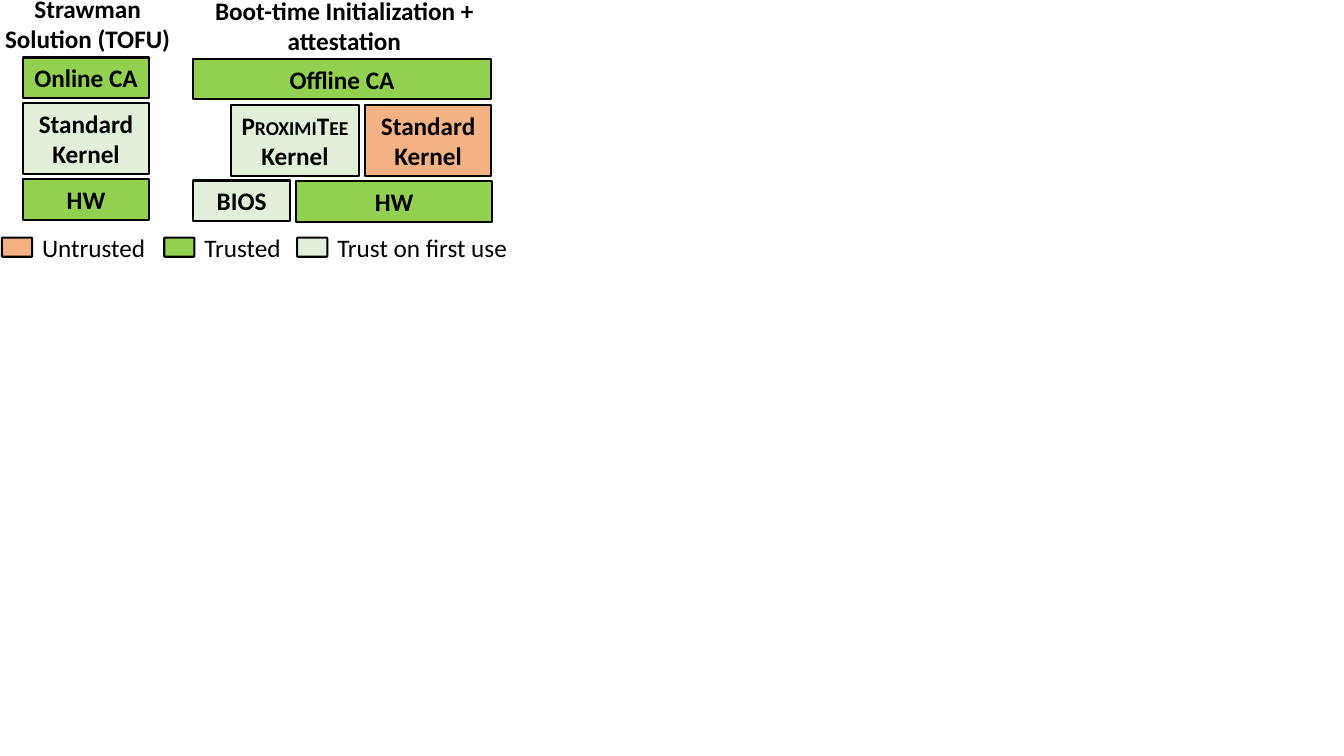
from pptx import Presentation
from pptx.dml.color import RGBColor
from pptx.enum import shapes, text
from pptx.util import Cm, Pt

TRUSTED, FIRST_USE, UNTRUSTED, BLACK = "92D050", "E2F0D9", "F4B183", "000000"
ROW, KERNEL_ROW = 1.02, 1.8


def color(value):
    return RGBColor.from_string(value)


class Diagram:
    """Draws trust-coloured blocks and labels on one slide."""
    font, size, small_size, line = "Calibri", 18, 14, 1.5

    def __init__(self, slide):
        self.slide = slide
        self.shapes = slide.shapes

    def start_group(self):
        """Collect the elements that follow in a new group."""
        self.shapes = self.slide.shapes.add_group_shape().shapes

    def end_group(self):
        self.shapes = self.slide.shapes

    def style(self, paragraph, bold, align):
        paragraph.alignment = align
        for run in paragraph.runs:
            run.font.name = self.font
            run.font.size = run.font.size or Pt(self.size)
            run.font.bold = bold
            run.font.color.rgb = color(BLACK)

    def outline(self, kind, left, top, width, height, fill):
        shape = self.shapes.add_shape(kind, Cm(left), Cm(top), Cm(width), Cm(height))
        shape.shadow.inherit = False
        shape.fill.solid()
        shape.fill.fore_color.rgb = color(fill)
        shape.line.color.rgb = color(BLACK)
        shape.line.width = Pt(self.line)
        return shape

    def block(self, label, left, top, width, height, fill):
        """Add a labelled block; a list label alternates large and small runs."""
        shape = self.outline(shapes.MSO_SHAPE.RECTANGLE, left, top, width, height, fill)
        paragraph = shape.text_frame.paragraphs[0]
        if isinstance(label, str):
            paragraph.text = label
        else:
            for index, part in enumerate(label):
                run = paragraph.add_run()
                run.text = part
                run.font.size = Pt(self.small_size if index % 2 else self.size)
        self.style(paragraph, True, text.PP_ALIGN.CENTER)

    def label(self, words, left, top, width, height, bold=False, align=text.PP_ALIGN.LEFT):
        box = self.shapes.add_textbox(Cm(left), Cm(top), Cm(width), Cm(height))
        frame = box.text_frame
        frame.word_wrap = False
        frame.auto_size = text.MSO_AUTO_SIZE.SHAPE_TO_FIT_TEXT
        frame.text = words
        for paragraph in frame.paragraphs:
            self.style(paragraph, bold, align)

    def heading(self, words, left, top, width):
        self.label(words, left, top, width, KERNEL_ROW, True, text.PP_ALIGN.CENTER)

    def legend_entry(self, words, left, width, fill):
        swatch = self.outline(shapes.MSO_SHAPE.ROUNDED_RECTANGLE, left, 5.99, 0.76, 0.48, fill)
        swatch.adjustments[0] = 0.045
        self.label(words, left + 0.76, 5.72, width, ROW)


def main():
    presentation = Presentation()
    presentation.slide_width, presentation.slide_height = Cm(33.87), Cm(19.05)
    diagram = Diagram(presentation.slides.add_slide(presentation.slide_layouts[6]))

    diagram.start_group()
    for words, left, width, fill in (
        ("Untrusted", 0.05, 3.15, UNTRUSTED),
        ("Trusted", 4.14, 2.46, TRUSTED),
        ("Trust on first use", 7.49, 4.83, FIRST_USE),
    ):
        diagram.legend_entry(words, left, width, fill)

    tofu_stack = (
        ("HW", 0.58, 4.52, 3.18, ROW, TRUSTED),
        ("Standard Kernel", 0.58, 2.59, 3.18, KERNEL_ROW, FIRST_USE),
        ("Online CA", 0.58, 1.45, 3.18, ROW, TRUSTED),
    )
    attestation_stack = (
        ("HW", 7.47, 4.57, 4.93, ROW, TRUSTED),
        (["P", "ROXIMI", "T", "EE", " Kernel"], 5.82, 2.64, 3.23, KERNEL_ROW, FIRST_USE),
        ("Standard Kernel", 9.2, 2.64, 3.18, KERNEL_ROW, UNTRUSTED),
        ("Offline CA", 4.86, 1.48, 7.52, ROW, TRUSTED),
        ("BIOS", 4.86, 4.55, 2.46, ROW, FIRST_USE),
    )
    for stack in (tofu_stack, attestation_stack):
        diagram.start_group()
        for block in stack:
            diagram.block(*block)

    diagram.end_group()
    diagram.heading("Strawman\nSolution (TOFU)", -0.15, -0.3, 4.72)
    diagram.heading("Boot-time Initialization +\nattestation", 5.05, -0.25, 7.26)

    presentation.save("out.pptx")


if __name__ == "__main__":
    main()
